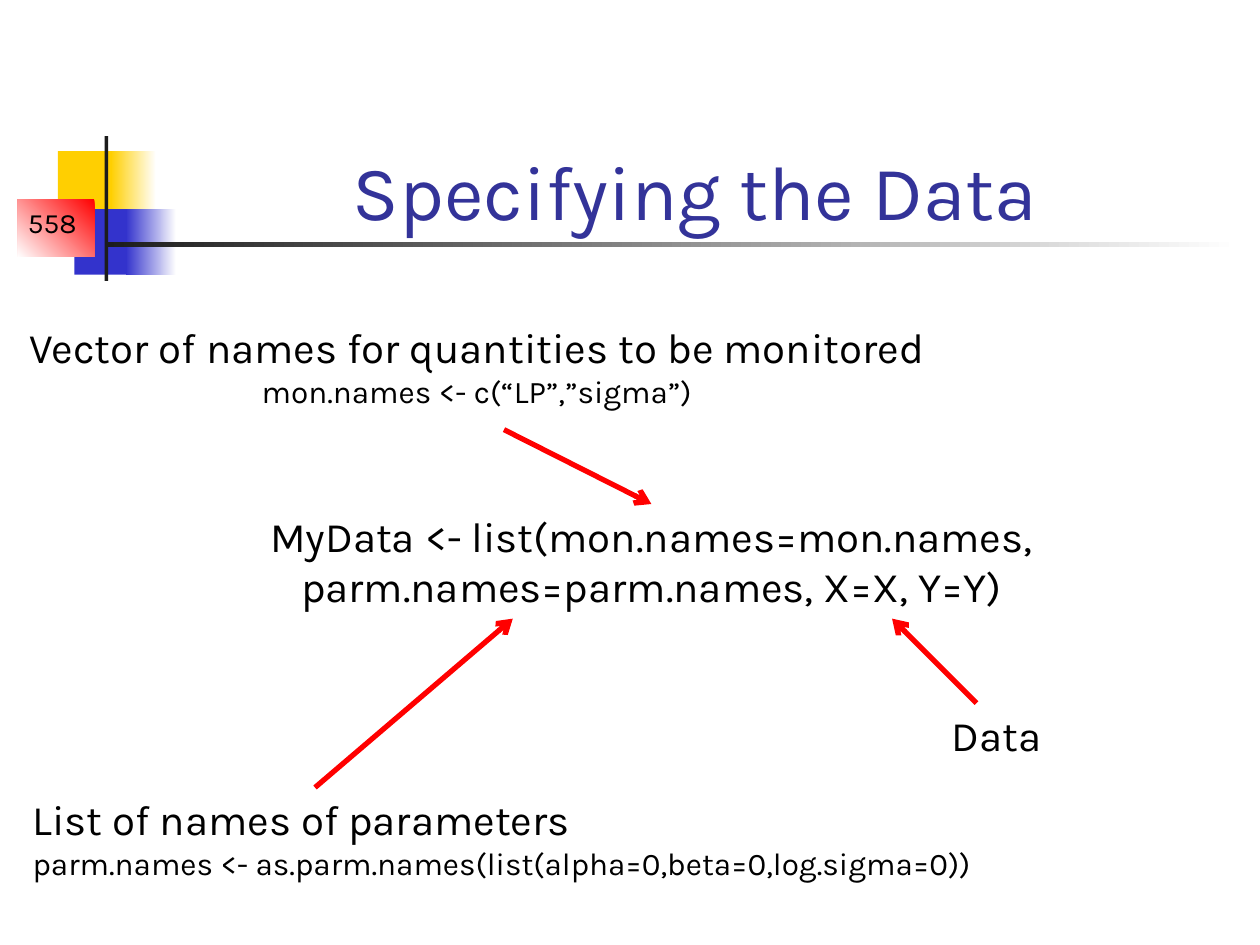
import pptx
import pptx.dml.color
import pptx.enum.shapes
import pptx.enum.text
import pptx.oxml.ns
import pptx.util
from lxml import etree

Inches = pptx.util.Inches
ALIGN = pptx.enum.text.PP_ALIGN
ANCHOR = pptx.enum.text.MSO_ANCHOR

FONT = "Karla"
COLORS = {
    "yellow": "FFCF01",
    "blue": "3333CC",
    "red": "FF0000",
    "dark": "1C1C1C",
    "white": "FFFFFF",
    "title": "333399",
    "text": "000000",
}


def rgb(name):
    return pptx.dml.color.RGBColor.from_string(COLORS[name])


def place(shape, left, top, width, height):
    shape.left, shape.top = Inches(left), Inches(top)
    shape.width, shape.height = Inches(width), Inches(height)


def write(shape, lines, align=ALIGN.CENTER, color="text", wrap=True, anchor=ANCHOR.TOP):
    """Fill a shape with (text, size) lines, one paragraph each."""
    frame = shape.text_frame
    frame.word_wrap = wrap
    frame.vertical_anchor = anchor
    for index, (text, size) in enumerate(lines):
        paragraph = frame.add_paragraph() if index else frame.paragraphs[0]
        paragraph.alignment = align
        run = paragraph.add_run()
        run.text = text
        run.font.name = FONT
        run.font.size = pptx.util.Pt(size)
        run.font.color.rgb = rgb(color)


def add_label(slide, box, lines, **text_format):
    label = slide.shapes.add_textbox(*map(Inches, box))
    write(label, lines, **text_format)


def add_block(slide, box, color, fade_to=None, angle=180):
    """Add a borderless rectangle, plain or fading from color to fade_to."""
    block = slide.shapes.add_shape(
        pptx.enum.shapes.MSO_SHAPE.RECTANGLE, *map(Inches, box))
    block.shadow.inherit = False
    block.line.fill.background()
    if fade_to is None:
        block.fill.solid()
        block.fill.fore_color.rgb = rgb(color)
        return
    block.fill.gradient()
    block.fill.gradient_angle = angle
    for stop, name in zip(block.fill.gradient_stops, (color, fade_to)):
        stop.color.rgb = rgb(name)


def add_arrow(slide, start, end):
    arrow = slide.shapes.add_connector(
        pptx.enum.shapes.MSO_CONNECTOR.STRAIGHT, *map(Inches, start + end))
    arrow.line.color.rgb = rgb("red")
    arrow.line.width = pptx.util.Pt(3)
    qn = pptx.oxml.ns.qn
    etree.SubElement(arrow.line._get_or_add_ln(), qn("a:tailEnd"), type="arrow")
    etree.SubElement(arrow._element.spPr, qn("a:effectLst"))


def add_emblem(slide):
    add_block(slide, (0.46, 1.2, 0.48, 0.52), "yellow")
    add_block(slide, (0.88, 1.2, 0.36, 0.52), "white", "yellow")
    add_block(slide, (0.59, 1.66, 0.46, 0.52), "blue")
    add_block(slide, (1, 1.66, 0.4, 0.52), "white", "blue")
    add_block(slide, (0.14, 1.58, 0.61, 0.46), "red", "white", angle=225)
    add_block(slide, (0.83, 1.08, 0.03, 1.15), "dark")
    add_block(slide, (0.83, 1.92, 9, 0.04), "white", "dark")


def main():
    deck = pptx.Presentation()
    deck.slide_width, deck.slide_height = Inches(10), Inches(7.5)
    slide = deck.slides.add_slide(deck.slide_layouts[5])

    # Emblem, page number and title
    add_emblem(slide)
    add_label(slide, (0, 1.58, 0.83, 0.37), [("558", 16)])
    title = slide.shapes.title
    place(title, 1.26, 0.67, 8.52, 1.25)
    write(title, [("Specifying the Data", 44)], color="title", anchor=ANCHOR.BOTTOM)

    # Data list in the middle
    add_label(slide, (0.67, 4, 9, 0.9), [
        ("MyData <- list(mon.names=mon.names,", 24),
        ("parm.names=parm.names, X=X, Y=Y)", 24)])

    # Explanations of its arguments
    add_label(slide, (0, 2.5, 7.57, 0.8), [
        ("Vector of names for quantities to be monitored", 24),
        ("mon.names <- c(“LP”,”sigma”)", 18)], wrap=False)
    add_label(slide, (0.16, 6.25, 7.81, 0.8), [
        ("List of names of parameters", 24),
        ("parm.names <- as.parm.names(list(alpha=0,beta=0,log.sigma=0))", 18)],
        align=ALIGN.LEFT, wrap=False)
    add_label(slide, (7.44, 5.58, 0.94, 0.5), [("Data", 24)], wrap=False)

    # Arrows from explanations to arguments
    add_arrow(slide, (4, 3.41), (5.17, 4))
    add_arrow(slide, (7.75, 5.58), (7.08, 4.91))
    add_arrow(slide, (2.5, 6.25), (4.07, 4.91))

    deck.save("out.pptx")


if __name__ == "__main__":
    main()
